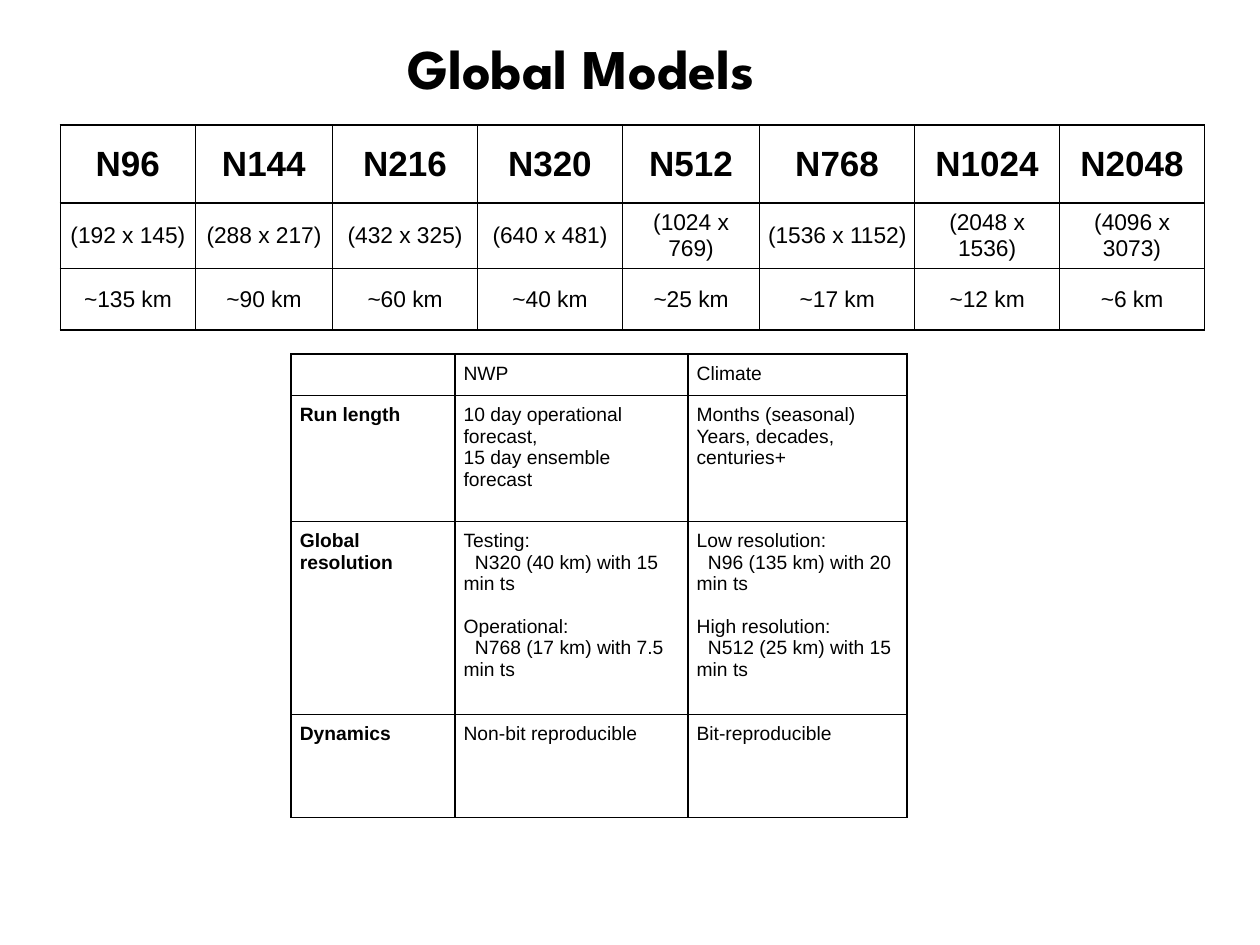
from lxml import etree
from pptx import Presentation, util as u
from pptx.dml.color import RGBColor
from pptx.enum import text
from pptx.oxml.ns import qn

WIDTH, HEIGHT = 10, 7.5
BLACK = "000000"
THIN, REGULAR = 0.75, 1

GRIDS = [
    ("N96", "(192 x 145)", "~135 km"),
    ("N144", "(288 x 217)", "~90 km"),
    ("N216", "(432 x 325)", "~60 km"),
    ("N320", "(640 x 481)", "~40 km"),
    ("N512", "(1024 x 769)", "~25 km"),
    ("N768", "(1536 x 1152)", "~17 km"),
    ("N1024", "(2048 x 1536)", "~12 km"),
    ("N2048", "(4096 x 3073)", "~6 km"),
]

# Each cell is a list of paragraphs
COMPARISON = [
    [[""], ["NWP"], ["Climate"]],
    [["Run length"],
     ["10 day operational forecast,", "15 day ensemble forecast"],
     ["Months (seasonal)", "Years, decades, centuries+"]],
    [["Global resolution"],
     ["Testing:", "N320 (40 km) with 15 min ts",
      "Operational:", "N768 (17 km) with 7.5 min ts"],
     ["Low resolution:", "N96 (135 km) with 20 min ts",
      "High resolution:", "N512 (25 km) with 15 min ts"]],
    [["Dynamics"], ["Non-bit reproducible"], ["Bit-reproducible"]],
]


def colour(value):
    return RGBColor.from_string(value)


def style(paragraph, size, bold=False, font="Arial"):
    paragraph.font.name = font
    paragraph.font.size = u.Pt(size)
    paragraph.font.bold = bold
    paragraph.font.color.rgb = colour(BLACK)


def set_borders(cell, left=REGULAR, right=REGULAR, top=REGULAR, bottom=REGULAR):
    properties = cell._tc.get_or_add_tcPr()
    for side, width in zip("LRTB", (left, right, top, bottom)):
        line = etree.SubElement(properties, qn(f"a:ln{side}"), w=str(u.Pt(width)))
        fill = etree.SubElement(line, qn("a:solidFill"))
        etree.SubElement(fill, qn("a:srgbClr"), val=BLACK)


def set_margins(cell, margin):
    cell.margin_left = cell.margin_right = u.Inches(margin)
    cell.margin_top = cell.margin_bottom = u.Inches(margin)


def add_plain_table(slide, box, columns, rows):
    """Add an unstyled table; columns and rows are shares of the box."""
    left, top, width, height = box
    table = slide.shapes.add_table(
        len(rows), len(columns), *(u.Inches(length) for length in box)).table
    table.first_row = table.horz_banding = False
    for column, share in zip(table.columns, columns):
        column.width = u.Inches(width * share / sum(columns))
    for row, share in zip(table.rows, rows):
        row.height = u.Inches(height * share / sum(rows))
    return table


def add_title(slide, box):
    title = slide.shapes.title
    title.left, title.top, title.width, title.height = (u.Inches(x) for x in box)
    frame = title.text_frame
    frame.text = "Global Models"
    frame.vertical_anchor = text.MSO_ANCHOR.MIDDLE
    paragraph = frame.paragraphs[0]
    paragraph.alignment = text.PP_ALIGN.CENTER
    paragraph.line_spacing = 0.9
    style(paragraph, 32, True, "League Spartan")


def add_grid_table(slide, box):
    columns = [1.07, 1.09, 1.15, 1.15, 1.09, 1.23, 1.15, 1.15]
    table = add_plain_table(slide, box, columns, [0.62, 0.52, 0.49])
    for column, grid in enumerate(GRIDS):
        for row, label in enumerate(grid):
            cell = table.cell(row, column)
            set_borders(cell)
            cell.fill.background()
            set_margins(cell, 0.04)
            cell.vertical_anchor = text.MSO_ANCHOR.MIDDLE
            cell.text = label
            paragraph = cell.text_frame.paragraphs[0]
            paragraph.alignment = text.PP_ALIGN.CENTER
            style(paragraph, 20 if row == 0 else 13, row == 0)


def add_comparison_table(slide, box):
    table = add_plain_table(slide, box, [1.3, 1.85, 1.74], [0.33, 1, 1.53, 0.82])
    for row, cells in enumerate(COMPARISON):
        for column, lines in enumerate(cells):
            cell = table.cell(row, column)
            set_borders(cell,
                        left=THIN if column == 0 else REGULAR,
                        right=THIN if column == 2 else REGULAR,
                        top=THIN if row == 0 else REGULAR)
            cell.fill.background()
            set_margins(cell, 0.07)
            cell.text = "\n".join(lines)
            for index, paragraph in enumerate(cell.text_frame.paragraphs):
                # Resolutions: indented under a heading, one line between groups
                if len(lines) == 4 and index % 2:
                    properties = paragraph._p.get_or_add_pPr()
                    properties.set("marL", "0")
                    properties.set("indent", str(u.Inches(0.09)))
                elif index == 2:
                    paragraph.space_before = u.Pt(12.2)
                style(paragraph, 11, column == 0)


def main():
    presentation = Presentation()
    presentation.slide_width = u.Inches(WIDTH)
    presentation.slide_height = u.Inches(HEIGHT)
    slide = presentation.slides.add_slide(presentation.slide_layouts[5])
    add_title(slide, (0, 0.21, 9.22, 0.71))
    add_grid_table(slide, (0.48, 0.99, 9.08, 1.63))
    add_comparison_table(slide, (2.31, 2.81, 4.89, 3.68))
    presentation.save("out.pptx")


if __name__ == "__main__":
    main()
